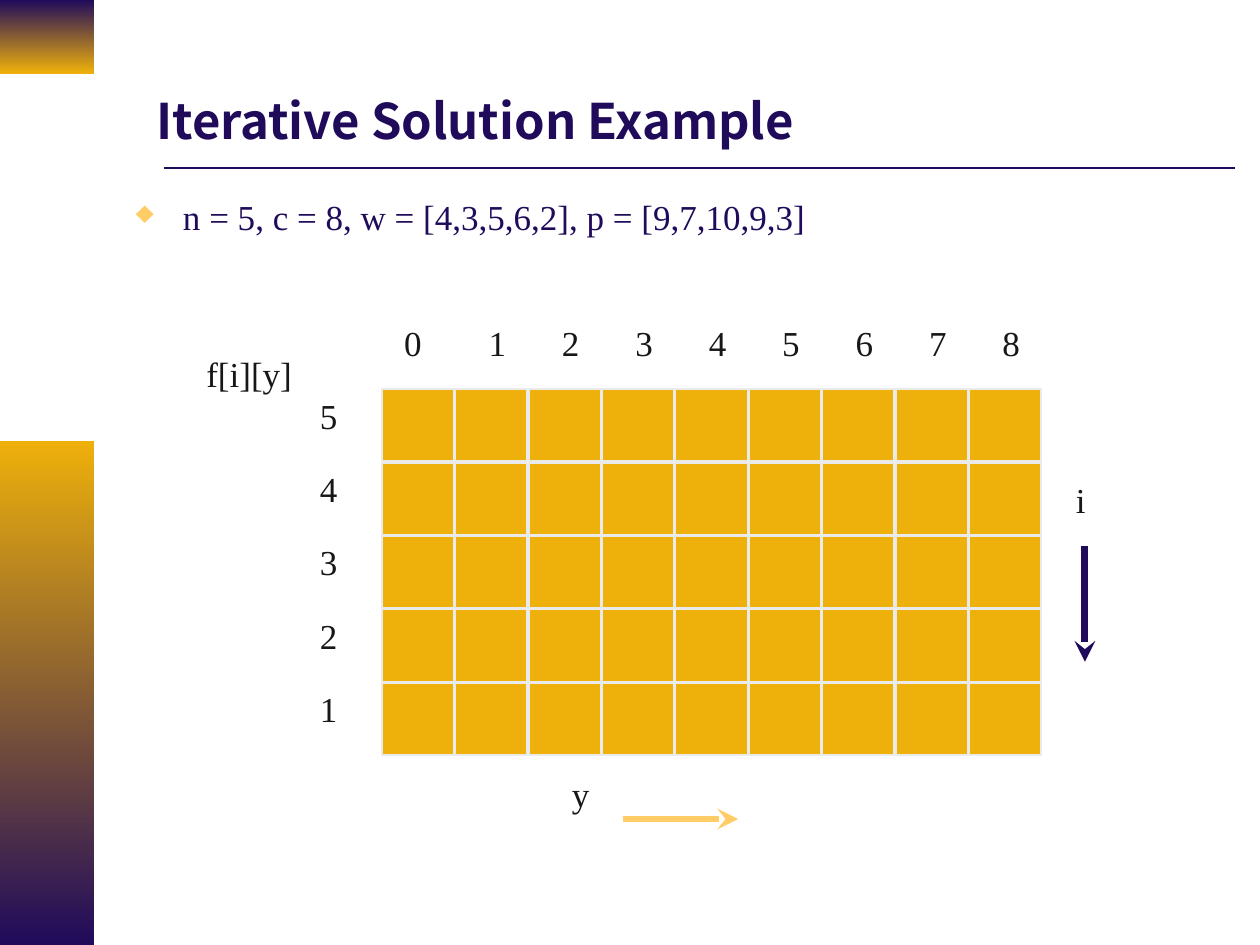
"""Build the slide showing the empty table of the iterative knapsack solution."""
from dataclasses import dataclass

from lxml import etree
from pptx import Presentation
from pptx.dml.color import RGBColor
from pptx.enum.shapes import MSO_CONNECTOR, MSO_SHAPE
from pptx.enum.text import MSO_ANCHOR
from pptx.oxml.ns import qn
from pptx.shapes.autoshape import Shape
from pptx.slide import Slide
from pptx.util import Cm, Pt

RECTANGLE = MSO_SHAPE.RECTANGLE
STRAIGHT = MSO_CONNECTOR.STRAIGHT
TOP, MIDDLE = MSO_ANCHOR.TOP, MSO_ANCHOR.MIDDLE
COLORS = {
    "navy": "200B5B",
    "gold": "EEB00B",
    "sand": "FFCC66",
    "grid": "EAEAEA",
    "ink": "171717",
}
SERIF, SANS = "Times New Roman", "Noto Sans CJK KR"
CAPACITY, ITEMS = 8, 5
GRID_LEFT, GRID_TOP, CELL, PITCH = 7.7, 7.85, 1.45, 1.48


@dataclass
class Label:
    """Text and its box in centimetres."""
    text: str
    left: float
    top: float
    width: float = 1.24
    height: float = 1.1
    size: int = 20
    font: str = SERIF
    color: str = "ink"
    bold: bool = False
    anchor: MSO_ANCHOR = TOP


@dataclass
class Line:
    """A straight line with its ends in centimetres."""
    start: tuple[float, float]
    end: tuple[float, float]
    color: str
    weight: float
    arrow: bool = False


TITLE = Label("Iterative Solution Example", 2.9, 1.32, 22.4, 2.21, 28, SANS, "navy", True, MIDDLE)
PROBLEM = Label("n = 5, c = 8, w = [4,3,5,6,2], p = [9,7,10,9,3]", 2.49, 3.81, 17.04, 1.7, color="navy")
AXIS_LABELS = [
    Label("y", 11.28, 15.44),
    Label("f[i][y]", 3.91, 6.98, 3.6),
    Label("i", 21.44, 9.52, 1.07),
]
LINES = [
    Line((3.3, 3.38), (24.9, 3.38), "navy", 1),
    Line((12.55, 16.51), (14.88, 16.51), "sand", 4, True),
    Line((21.87, 11), (21.87, 13.34), "navy", 4, True),
]


def rgb(name: str) -> RGBColor:
    """Look up a named colour."""
    return RGBColor.from_string(COLORS[name])


def add_rectangle(page: Slide, left: float, top: float, width: float, height: float) -> Shape:
    """Add a rectangle without a shadow."""
    box = page.shapes.add_shape(RECTANGLE, Cm(left), Cm(top), Cm(width), Cm(height))
    box.shadow.inherit = False
    return box


def add_side_band(page: Slide, top: float, height: float, colors: tuple[str, str]) -> None:
    """Add a left band that fades downwards between two colours."""
    band = add_rectangle(page, 0, top, 1.9, height)
    band.line.fill.background()
    band.fill.gradient()
    band.fill.gradient_angle = 270
    for stop, position, color in zip(band.fill.gradient_stops, (0, 1), colors):
        stop.position = position
        stop.color.rgb = rgb(color)


def add_cell(page: Slide, column: int, row: int) -> None:
    """Add one empty cell of the table of values."""
    cell = add_rectangle(page, GRID_LEFT + column * PITCH, GRID_TOP + row * PITCH, CELL, CELL)
    cell.fill.solid()
    cell.fill.fore_color.rgb = rgb("gold")
    cell.line.color.rgb = rgb("grid")
    cell.line.width = Pt(1)


def add_label(page: Slide, label: Label, bullet: bool = False) -> None:
    """Add a text box, with a diamond bullet if asked."""
    box = page.shapes.add_textbox(Cm(label.left), Cm(label.top), Cm(label.width), Cm(label.height))
    frame = box.text_frame
    frame.word_wrap = True
    frame.vertical_anchor = label.anchor
    frame.text = label.text
    para = frame.paragraphs[0]
    if bullet:
        properties = para._p.get_or_add_pPr()
        properties.set("marL", str(Cm(0.95)))
        properties.set("indent", str(Cm(-0.95)))
        bullet_color = etree.SubElement(properties, qn("a:buClr"))
        etree.SubElement(bullet_color, qn("a:srgbClr"), val=COLORS["sand"])
        etree.SubElement(properties, qn("a:buSzPct"), val="90000")
        etree.SubElement(properties, qn("a:buChar"), char="♦")
    span = para.runs[0]
    span.font.name = label.font
    span.font.size = Pt(label.size)
    span.font.bold = label.bold
    span.font.color.rgb = rgb(label.color)


def add_line(page: Slide, line: Line) -> None:
    """Add a straight connector, with an arrowhead if asked."""
    connector = page.shapes.add_connector(STRAIGHT, *map(Cm, line.start + line.end))
    connector.line.color.rgb = rgb(line.color)
    connector.line.width = Pt(line.weight)
    if line.arrow:
        etree.SubElement(connector.line._get_or_add_ln(), qn("a:tailEnd"), type="stealth")
    etree.SubElement(connector._element.spPr, qn("a:effectLst"))


def main() -> None:
    """Build and save the deck."""
    deck = Presentation()
    deck.slide_width, deck.slide_height = Cm(25.4), Cm(19.05)
    page = deck.slides.add_slide(deck.slide_layouts[6])

    add_side_band(page, 0, 1.48, ("navy", "gold"))
    add_side_band(page, 8.89, 10.16, ("gold", "navy"))
    add_label(page, TITLE)
    add_label(page, PROBLEM, bullet=True)

    for row in range(ITEMS):
        for column in range(CAPACITY + 1):
            add_cell(page, column, row)
        add_label(page, Label(str(ITEMS - row), 6.2, 7.82 + row * PITCH))
    for column in range(CAPACITY + 1):
        left = 8.12 + column * PITCH if column else 7.9
        add_label(page, Label(str(column), left, 6.35))

    for label in AXIS_LABELS:
        add_label(page, label)
    for line in LINES:
        add_line(page, line)
    deck.save("out.pptx")


if __name__ == "__main__":
    main()
